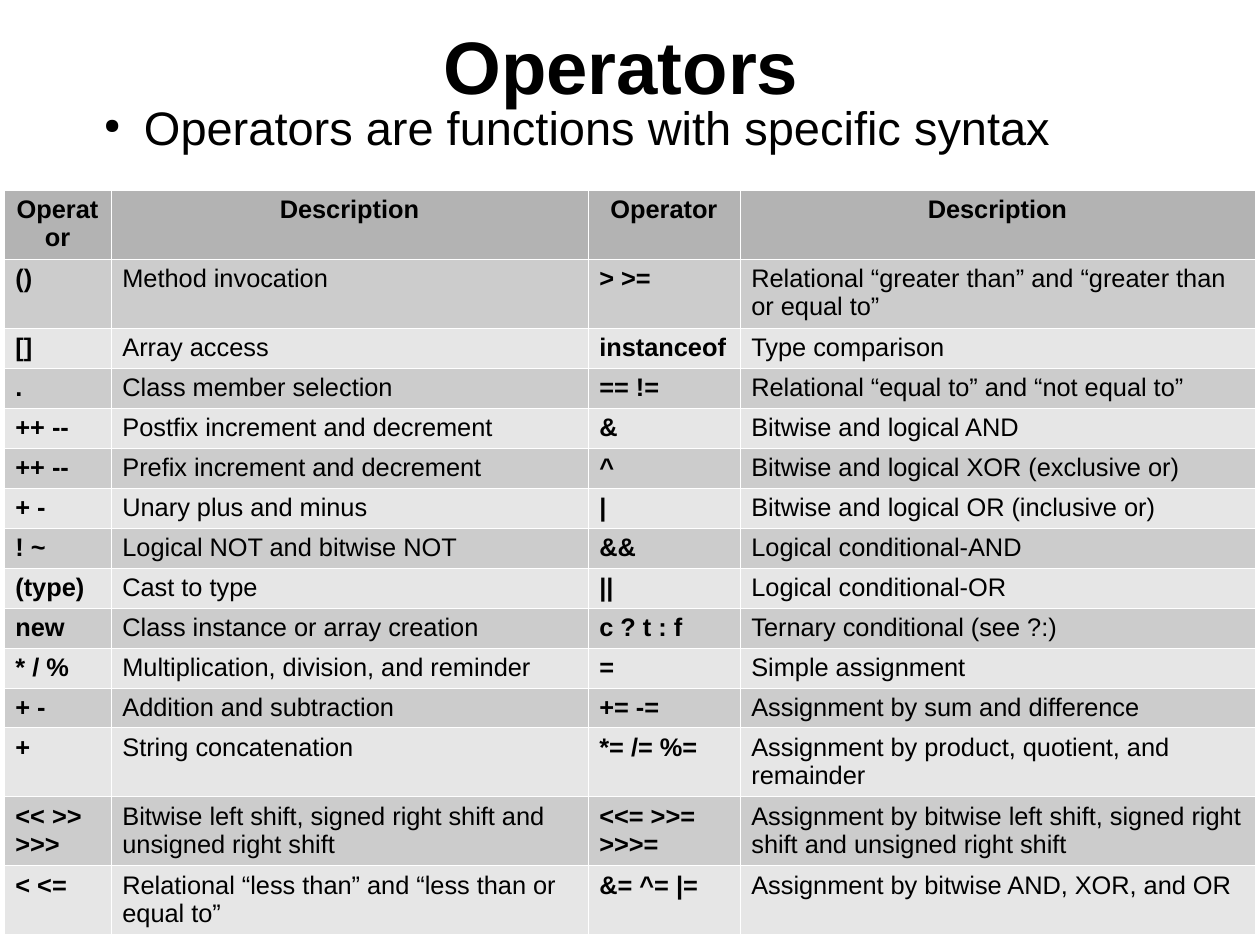
from dataclasses import dataclass

from lxml import etree
from pptx import Presentation
from pptx.dml.color import RGBColor
from pptx.enum.text import MSO_ANCHOR, MSO_AUTO_SIZE, PP_ALIGN
from pptx.oxml.ns import qn
from pptx.util import Emu, Pt

CENTER, LEFT = PP_ALIGN.CENTER, PP_ALIGN.LEFT
MIDDLE, TOP = MSO_ANCHOR.MIDDLE, MSO_ANCHOR.TOP
NO_AUTOSIZE = MSO_AUTO_SIZE.NONE
EMU_PER_PX = 8000
BORDER_WIDTH = Pt(0.06)
BLACK, WHITE = "000000", "FFFFFF"
HEADER_FILL = "B3B3B3"
BAND_FILLS = ("E6E6E6", "CCCCCC")
COLUMN_WIDTHS = (107, 477, 152, 515)
SINGLE_LINE, DOUBLE_LINE = 40, 69
DOUBLE_ROWS = (0, 1, 12, 13, 14)


@dataclass(frozen=True)
class Operator:
    symbol: str
    description: str


@dataclass(frozen=True)
class Frame:
    left: int
    top: int
    width: int
    height: int


HEADING = Operator("Operator", "Description")
LEFT_OPERATORS = (
    HEADING,
    Operator("()", "Method invocation"),
    Operator("[]", "Array access"),
    Operator(".", "Class member selection"),
    Operator("++ --", "Postfix increment and decrement"),
    Operator("++ --", "Prefix increment and decrement"),
    Operator("+ -", "Unary plus and minus"),
    Operator("! ~", "Logical NOT and bitwise NOT"),
    Operator("(type)", "Cast to type"),
    Operator("new", "Class instance or array creation"),
    Operator("* / %", "Multiplication, division, and reminder"),
    Operator("+ -", "Addition and subtraction"),
    Operator("+", "String concatenation"),
    Operator("<< >> >>>", "Bitwise left shift, signed right shift and unsigned right shift"),
    Operator("< <=", "Relational “less than” and “less than or equal to”"),
)
RIGHT_OPERATORS = (
    HEADING,
    Operator("> >=", "Relational “greater than” and “greater than or equal to”"),
    Operator("instanceof", "Type comparison"),
    Operator("== !=", "Relational “equal to” and “not equal to”"),
    Operator("&", "Bitwise and logical AND"),
    Operator("^", "Bitwise and logical XOR (exclusive or)"),
    Operator("|", "Bitwise and logical OR (inclusive or)"),
    Operator("&&", "Logical conditional-AND"),
    Operator("||", "Logical conditional-OR"),
    Operator("c ? t : f", "Ternary conditional (see ?:)"),
    Operator("=", "Simple assignment"),
    Operator("+= -=", "Assignment by sum and difference"),
    Operator("*= /= %=", "Assignment by product, quotient, and remainder"),
    Operator("<<= >>= >>>=", "Assignment by bitwise left shift, signed right shift and unsigned right shift"),
    Operator("&= ^= |=", "Assignment by bitwise AND, XOR, and OR"),
)
TITLE_FRAME = Frame(54, 21, 1134, 87)
BODY_FRAME = Frame(90, 99, 1134, 71)
TABLE_FRAME = Frame(4, 190, sum(COLUMN_WIDTHS), 747)


def px(length: int) -> Emu:
    return Emu(length * EMU_PER_PX)


def color(value: str) -> RGBColor:
    return RGBColor.from_string(value)


def apply_format(target, values: dict) -> None:
    for name, value in values.items():
        setattr(target, name, value)


def place(shape, frame: Frame) -> None:
    for name in ("left", "top", "width", "height"):
        setattr(shape, name, px(getattr(frame, name)))


def write(para, text: str, size: float, bold: bool = False, align=LEFT) -> None:
    para.alignment = align
    span = para.add_run()
    span.text = text
    apply_format(span.font, {"name": "Arial", "size": Pt(size), "bold": bold})
    span.font.color.rgb = color(BLACK)


def prepare_frame(shape, frame: Frame, anchor):
    place(shape, frame)
    apply_format(shape.text_frame, {
        "word_wrap": True, "auto_size": NO_AUTOSIZE, "vertical_anchor": anchor,
        "margin_left": 0, "margin_top": 0, "margin_right": 0, "margin_bottom": 0,
    })
    return shape.text_frame.paragraphs[0]


def add_bullet(para, margin: int, hanging: int) -> None:
    properties = para._p.get_or_add_pPr()
    properties.set("marL", str(px(margin)))
    properties.set("indent", str(-px(hanging)))
    bullet_color = etree.SubElement(properties, qn("a:buClr"))
    etree.SubElement(bullet_color, qn("a:srgbClr"), val=BLACK)
    etree.SubElement(properties, qn("a:buSzPct"), val="45000")
    etree.SubElement(properties, qn("a:buChar"), char="●")


def add_borders(cell) -> None:
    properties = cell._tc.get_or_add_tcPr()
    for side in ("lnL", "lnR", "lnT", "lnB"):
        line = etree.SubElement(properties, qn(f"a:{side}"), w=str(BORDER_WIDTH))
        fill = etree.SubElement(line, qn("a:solidFill"))
        etree.SubElement(fill, qn("a:srgbClr"), val=WHITE)


def fill_cell(cell, text: str, fill: str, bold: bool, align) -> None:
    add_borders(cell)
    cell.fill.solid()
    cell.fill.fore_color.rgb = color(fill)
    write(cell.text_frame.paragraphs[0], text, 16, bold, align)


def add_operator_table(page) -> None:
    shape = page.shapes.add_table(len(LEFT_OPERATORS), len(COLUMN_WIDTHS), 0, 0, 0, 0)
    place(shape, TABLE_FRAME)
    table = shape.table
    apply_format(table, {"first_row": False, "horz_banding": False})
    for column, width in zip(table.columns, COLUMN_WIDTHS):
        column.width = px(width)
    for index, pair in enumerate(zip(LEFT_OPERATORS, RIGHT_OPERATORS)):
        header = index == 0
        table.rows[index].height = px(DOUBLE_LINE if index in DOUBLE_ROWS else SINGLE_LINE)
        fill = HEADER_FILL if header else BAND_FILLS[index % 2]
        align = CENTER if header else LEFT
        for side, operator in enumerate(pair):
            fill_cell(table.cell(index, 2 * side), operator.symbol, fill, True, align)
            fill_cell(table.cell(index, 2 * side + 1), operator.description, fill, header, align)


def main() -> None:
    deck = Presentation()
    apply_format(deck, {"slide_width": px(1260), "slide_height": px(945)})
    page = deck.slides.add_slide(deck.slide_layouts[5])
    add_operator_table(page)
    title = prepare_frame(page.shapes.title, TITLE_FRAME, MIDDLE)
    write(title, "Operators", 46.8, True, CENTER)
    body = prepare_frame(page.shapes.add_textbox(0, 0, 0, 0), BODY_FRAME, TOP)
    add_bullet(body, 54, 40)
    body.space_after = Pt(14.2)
    write(body, "Operators are functions with specific syntax", 29.6)
    deck.save("out.pptx")


if __name__ == "__main__":
    main()
